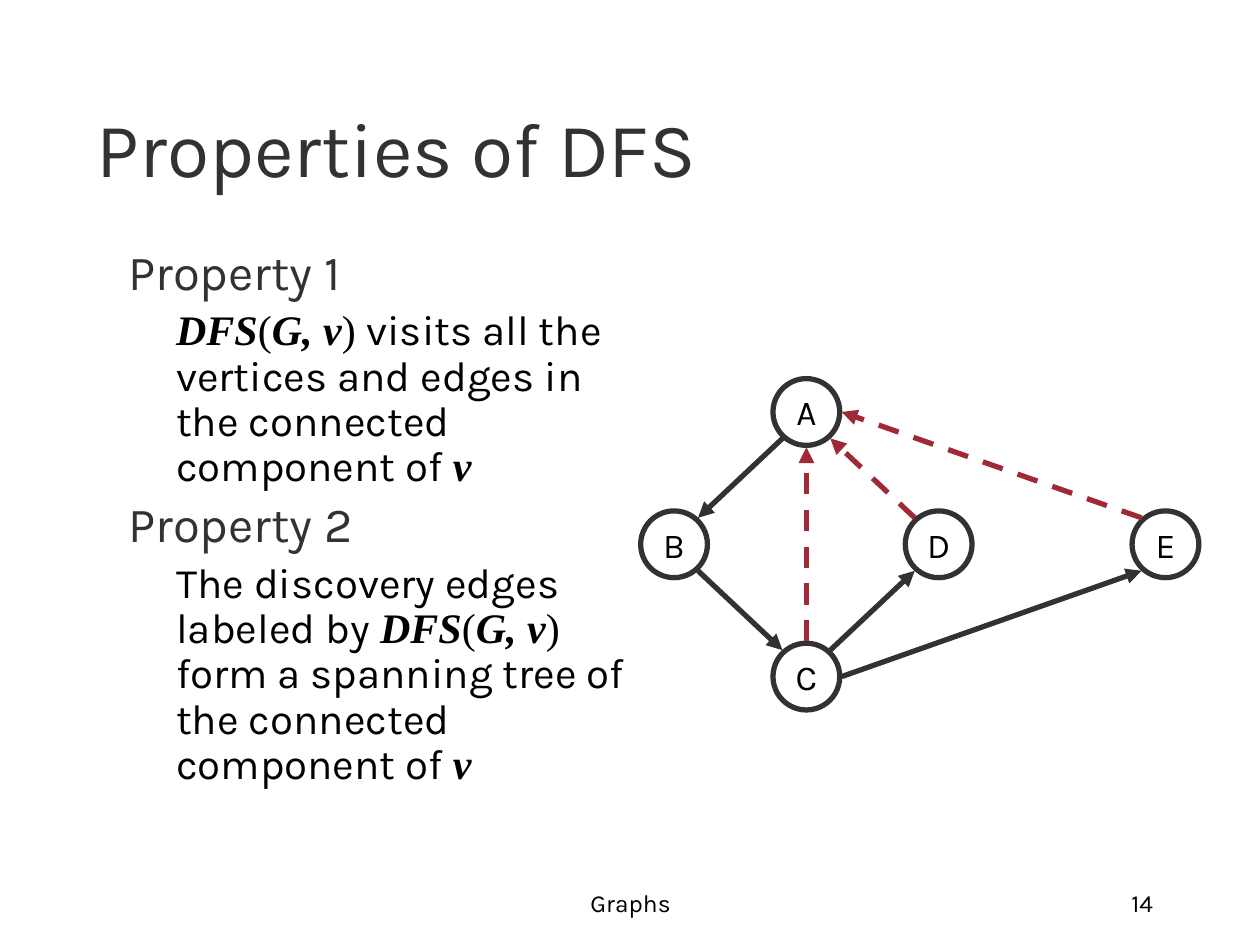
from dataclasses import dataclass

from lxml import etree
from pptx import Presentation
from pptx.dml.color import RGBColor
from pptx.enum.dml import MSO_LINE
from pptx.enum.shapes import MSO_CONNECTOR, MSO_SHAPE
from pptx.enum.text import MSO_ANCHOR, PP_ALIGN
from pptx.oxml.ns import qn
from pptx.slide import Slide
from pptx.text.text import TextFrame
from pptx.util import Inches, Pt

DASH = MSO_LINE.DASH
STRAIGHT = MSO_CONNECTOR.STRAIGHT
OVAL = MSO_SHAPE.OVAL
TOP, MIDDLE, BOTTOM = MSO_ANCHOR.TOP, MSO_ANCHOR.MIDDLE, MSO_ANCHOR.BOTTOM
LEFT, CENTER, RIGHT = PP_ALIGN.LEFT, PP_ALIGN.CENTER, PP_ALIGN.RIGHT

COLORS = {"paper": "FFFFFF", "text": "000000", "dark": "323232", "back": "9F2936"}
FONT = "Karla"
MATH_FONT = "Times New Roman"
DIAMETER = 0.53
STEP = 1.05
GRAPH_X, GRAPH_Y = 6.4, 4.32

PORTS = {
    "n": (0, -0.28), "s": (0, 0.28), "e": (0.28, 0),
    "nw": (-0.19, -0.21), "ne": (0.19, -0.21),
    "sw": (-0.19, 0.21), "se": (0.19, 0.21),
}


@dataclass(frozen=True)
class Vertex:
    label: str
    x: float
    y: float


@dataclass(frozen=True)
class Edge:
    source: str
    source_port: str
    target: str
    target_port: str
    is_back: bool = False


@dataclass(frozen=True)
class Property:
    heading: str
    statement: tuple[tuple[str, str], ...]


@dataclass(frozen=True)
class Label:
    text: str
    box: tuple[float, float, float, float]
    size: int
    color: str
    align: PP_ALIGN


VERTICES = {
    vertex.label: vertex
    for vertex in (
        Vertex("A", GRAPH_X, GRAPH_Y - STEP),
        Vertex("B", GRAPH_X - STEP, GRAPH_Y),
        Vertex("C", GRAPH_X, GRAPH_Y + STEP),
        Vertex("D", GRAPH_X + STEP, GRAPH_Y),
        Vertex("E", 9.25, GRAPH_Y),
    )
}
EDGES = (
    Edge("A", "sw", "B", "ne"),
    Edge("B", "se", "C", "nw"),
    Edge("C", "ne", "D", "sw"),
    Edge("C", "e", "E", "sw"),
    Edge("D", "nw", "A", "se", True),
    Edge("C", "n", "A", "s", True),
    Edge("E", "nw", "A", "e", True),
)
DFS_CALL = (("DFS", "math"), ("(", "upright"), ("G, v", "math"), (") ", "upright"))
PROPERTIES = (
    Property("Property 1", (
        *DFS_CALL,
        ("visits all the vertices and edges in the connected component of ", "plain"),
        ("v", "math"),
    )),
    Property("Property 2", (
        ("The discovery edges labeled by ", "plain"),
        *DFS_CALL,
        ("form a spanning tree of the connected component of ", "plain"),
        ("v", "math"),
    )),
)
LABELS = (
    Label("Properties of DFS", (0.67, 0.33, 8.5, 1.25), 44, "dark", LEFT),
    Label("Graphs", (3.42, 6.83, 3.17, 0.5), 14, "text", CENTER),
    Label("14", (7.17, 6.83, 2.08, 0.5), 14, "text", RIGHT),
)


def rgb(name: str) -> RGBColor:
    return RGBColor.from_string(COLORS[name])


def style_font(font, size: int, color: str) -> None:
    font.name = FONT
    font.size = Pt(size)
    font.color.rgb = rgb(color)


def add_frame(slide: Slide, box: tuple[float, float, float, float], anchor: MSO_ANCHOR) -> TextFrame:
    frame = slide.shapes.add_textbox(*map(Inches, box)).text_frame
    frame.word_wrap = True
    frame.vertical_anchor = anchor
    return frame


def add_label(slide: Slide, label: Label) -> None:
    paragraph = add_frame(slide, label.box, BOTTOM).paragraphs[0]
    paragraph.text = label.text
    paragraph.alignment = label.align
    style_font(paragraph.font, label.size, label.color)


def add_properties(slide: Slide) -> None:
    frame = add_frame(slide, (0.92, 1.92, 4.17, 4.5), TOP)
    for index, item in enumerate(PROPERTIES):
        heading = frame.add_paragraph() if index else frame.paragraphs[0]
        heading.text = item.heading
        heading.line_spacing = 0.9
        heading.space_before = Pt(5.6 if index else 0)
        style_font(heading.font, 28, "dark")

        statement = frame.add_paragraph()
        statement.line_spacing = 0.9
        statement.space_before = Pt(4.8)
        statement._p.get_or_add_pPr().set("marL", str(Inches(0.38)))
        for text, kind in item.statement:
            run = statement.add_run()
            run.text = text
            style_font(run.font, 24, "text")
            if kind != "plain":
                run.font.name = MATH_FONT
                run.font.bold = run.font.italic = kind == "math"


def add_vertex(slide: Slide, vertex: Vertex) -> None:
    corner = (Inches(vertex.x - DIAMETER / 2), Inches(vertex.y - DIAMETER / 2))
    circle = slide.shapes.add_shape(OVAL, *corner, Inches(DIAMETER), Inches(DIAMETER))
    circle.shadow.inherit = False
    circle.fill.background()
    circle.line.color.rgb = rgb("dark")
    circle.line.width = Pt(3)
    frame = circle.text_frame
    frame.word_wrap = False
    frame.vertical_anchor = MIDDLE
    paragraph = frame.paragraphs[0]
    paragraph.text = vertex.label
    paragraph.alignment = CENTER
    style_font(paragraph.font, 20, "text")


def port_position(label: str, port: str) -> tuple[Inches, Inches]:
    vertex = VERTICES[label]
    dx, dy = PORTS[port]
    return Inches(vertex.x + dx), Inches(vertex.y + dy)


def add_edge(slide: Slide, edge: Edge) -> None:
    start = port_position(edge.source, edge.source_port)
    end = port_position(edge.target, edge.target_port)
    arrow = slide.shapes.add_connector(STRAIGHT, *start, *end)
    arrow.line.color.rgb = rgb("back" if edge.is_back else "dark")
    arrow.line.width = Pt(3)
    if edge.is_back:
        arrow.line.dash_style = DASH
    etree.SubElement(arrow.line._get_or_add_ln(), qn("a:tailEnd"), type="triangle")
    etree.SubElement(arrow._element.spPr, qn("a:effectLst"))


def main() -> None:
    deck = Presentation()
    deck.slide_width, deck.slide_height = Inches(10), Inches(7.5)
    slide = deck.slides.add_slide(deck.slide_layouts[6])
    slide.background.fill.solid()
    slide.background.fill.fore_color.rgb = rgb("paper")
    for label in LABELS:
        add_label(slide, label)
    add_properties(slide)
    for vertex in VERTICES.values():
        add_vertex(slide, vertex)
    for edge in EDGES:
        add_edge(slide, edge)
    deck.save("out.pptx")


if __name__ == "__main__":
    main()
